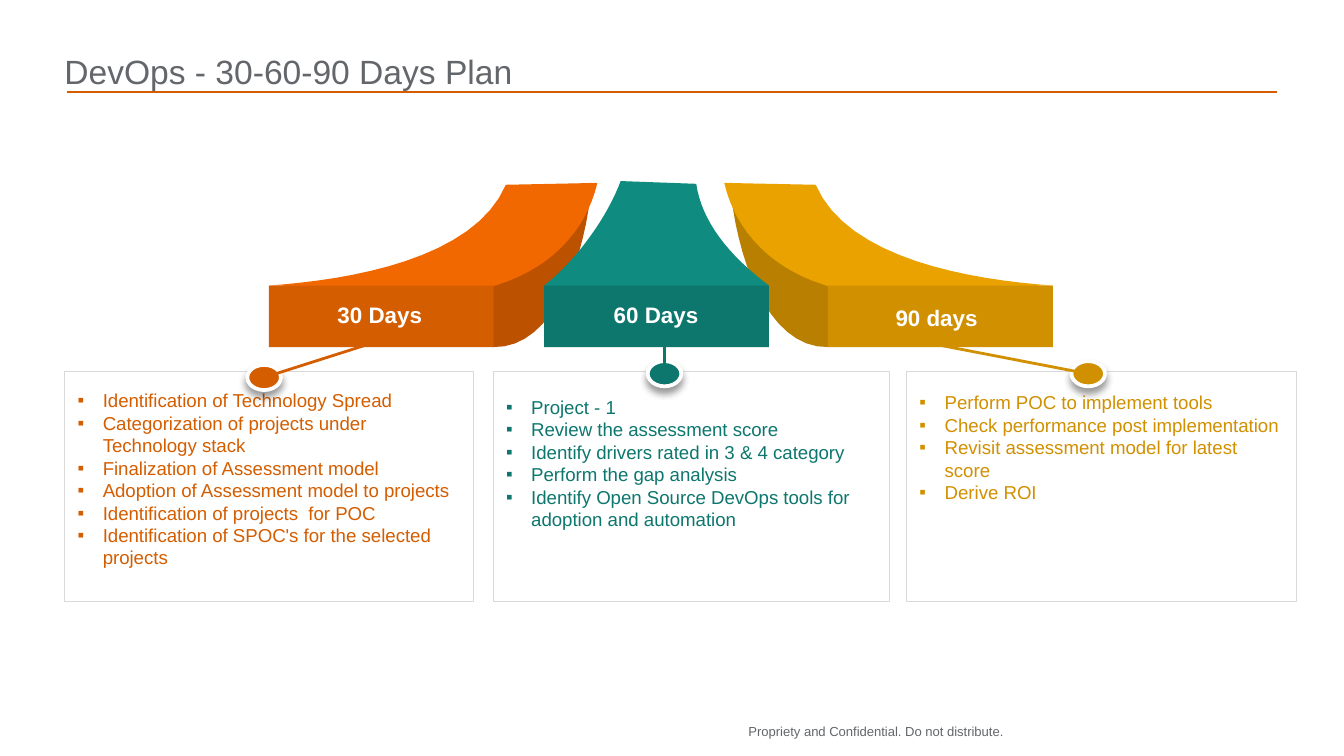
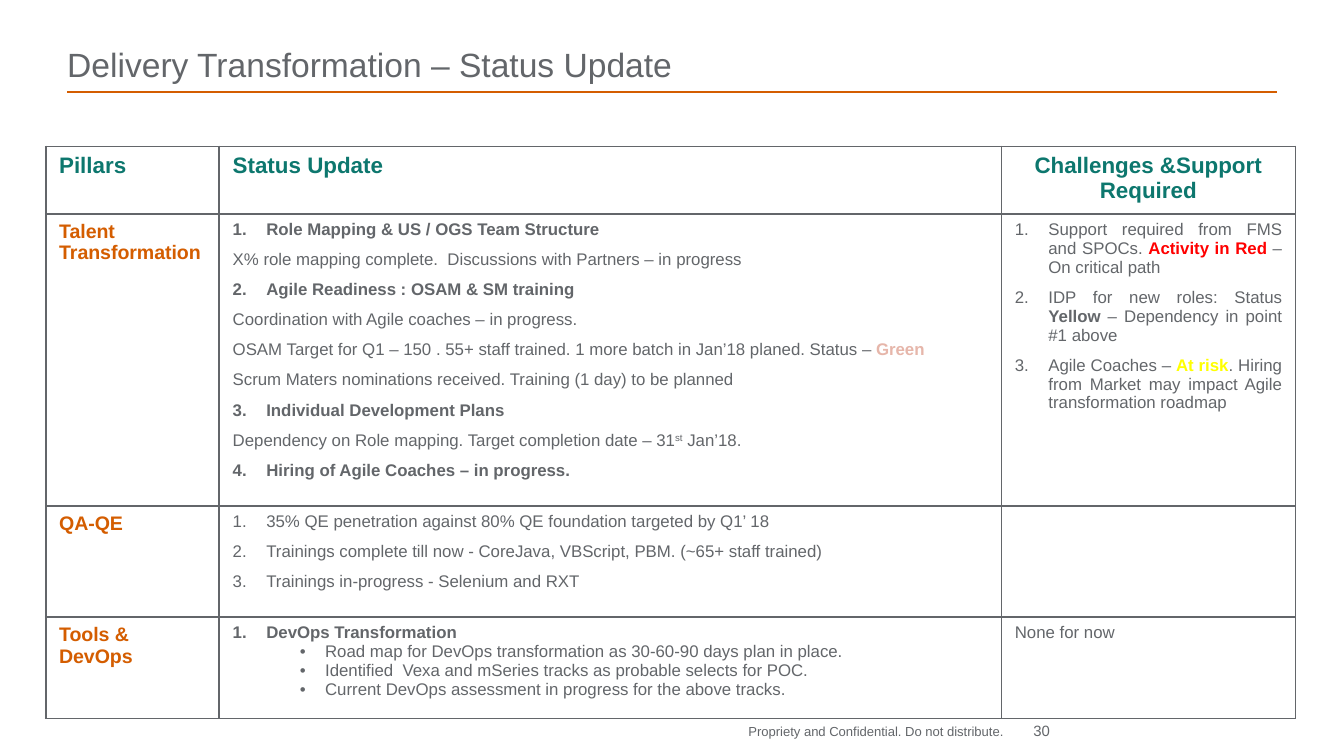
from lxml import etree
from pptx import Presentation
from pptx import util as u
from pptx.dml.color import RGBColor
from pptx.enum import shapes, text
from pptx.oxml.ns import qn

Pt = u.Pt
GREY = RGBColor(0x63, 0x66, 0x6A)
PALE = RGBColor(0xD9, 0xD9, 0xD9)
WHITE = RGBColor(0xFF, 0xFF, 0xFF)
RED = RGBColor(0xFF, 0x00, 0x00)
YELLOW = RGBColor(0xFF, 0xFF, 0x00)
PINK = RGBColor(0xE6, 0xB6, 0xAA)
RUST = RGBColor(0xD4, 0x5D, 0x00)
ORANGE = RGBColor(0xF2, 0x68, 0x00)
BROWN = RGBColor(0xBC, 0x51, 0x00)
TEAL = RGBColor(0x0D, 0x77, 0x6E)
GREEN = RGBColor(0x0F, 0x8B, 0x7F)
GOLD = RGBColor(0xD1, 0x90, 0x00)
AMBER = RGBColor(0xEA, 0xA2, 0x00)
BRONZE = RGBColor(0xB8, 0x7F, 0x00)

LEFT, MID, RIGHT, JUST = (text.PP_ALIGN.LEFT, text.PP_ALIGN.CENTER,
                          text.PP_ALIGN.RIGHT, text.PP_ALIGN.JUSTIFY)
BARE = dict(margin_left=0, margin_top=0, margin_right=0, margin_bottom=0)


def put(item, vals):
    """Set each attribute of item from a dict."""
    for name, val in vals.items():
        setattr(item, name, val)


def node(parent, tag, **attrs):
    """Append an XML child with attributes."""
    child = etree.SubElement(parent, qn(tag))
    for name, val in attrs.items():
        child.set(name, str(val))
    return child


def mark(para, sign, indent, hang):
    """Give a paragraph a bullet, or a number that starts at sign."""
    props = para._p.get_or_add_pPr()
    props.set("marL", str(Pt(indent)))
    props.set("indent", str(-Pt(hang)))
    if isinstance(sign, int):
        node(props, "a:buAutoNum", type="arabicPeriod", startAt=sign)
    else:
        node(props, "a:buFont", typeface="Arial")
        node(props, "a:buChar", char=sign)


def write(para, runs, size, color, bold=False, align=LEFT):
    """Write runs, each a string or a string with its own format."""
    para.alignment = align
    for part in [runs] if isinstance(runs, str) else runs:
        words, own = (part, {}) if isinstance(part, str) else part
        run = para.add_run()
        run.text = words
        put(run.font, dict(name="Arial", size=Pt(size), bold=own.get("bold", bold)))
        run.font.color.rgb = own.get("color", color)
        if "raise" in own:
            run._r.get_or_add_rPr().set("baseline", own["raise"])


def lines(frame, count):
    """Return count paragraphs of a frame."""
    return [frame.paragraphs[0]] + [frame.add_paragraph() for _ in range(count - 1)]


def label(slide, box, words, size, color, bold=False, align=LEFT, **form):
    """Add a one-line text box."""
    frame = slide.shapes.add_textbox(*map(Pt, box)).text_frame
    put(frame, dict(word_wrap=True) | form)
    write(frame.paragraphs[0], words, size, color, bold, align)


def paint(shape, fill, edge=None, width=0):
    """Set the fill and line of a shape without shadow."""
    shape.shadow.inherit = False
    shape.fill.solid()
    shape.fill.fore_color.rgb = fill
    if edge is None:
        shape.line.fill.background()
    else:
        shape.line.color.rgb = edge
        shape.line.width = Pt(width)


def link(slide, start, end, color, width):
    """Draw a straight line."""
    line = slide.shapes.add_connector(
        shapes.MSO_CONNECTOR.STRAIGHT, *map(Pt, (*start, *end)))
    line.line.color.rgb = color
    line.line.width = Pt(width)
    node(line._element.spPr, "a:effectLst")


def base(deck, name, box):
    """Add a slide with title, rule and footer."""
    slide = deck.slides.add_slide(deck.slide_layouts[5])
    title = slide.shapes.title
    put(title, dict(zip(("left", "top", "width", "height"), map(Pt, box))))
    put(title.text_frame, BARE | dict(
        word_wrap=True, auto_size=text.MSO_AUTO_SIZE.NONE,
        vertical_anchor=text.MSO_ANCHOR.BOTTOM))
    write(title.text_frame.paragraphs[0], name, 18, GREY)
    link(slide, (36, 49.5), (684, 49.5), RUST, 1)
    label(slide, (401, 387.5, 150, 13.5), "Propriety and Confidential. Do not distribute.",
          7, GREY, **BARE | dict(word_wrap=False))
    return slide


def curve(ends, steps=16):
    """Sample a cubic curve from four control points."""
    spots = []
    for i in range(steps + 1):
        t = i / steps
        rates = ((1 - t) ** 3, 3 * t * (1 - t) ** 2, 3 * t * t * (1 - t), t ** 3)
        spots.append([sum(r * p[k] for r, p in zip(rates, ends)) for k in (0, 1)])
    return spots


def blob(slide, x, y, spots, fill):
    """Draw a closed outline, offset by x and y."""
    dots = [((x + a) * 100, (y + b) * 100) for a, b in spots]
    pen = slide.shapes.build_freeform(*dots[0], scale=Pt(1) / 100)
    pen.add_line_segments(dots[1:], close=True)
    paint(pen.convert_to_shape(), fill)


def arch(slide, x, y, width):
    """Draw three curved ramps, each with a front bar."""
    side = (curve([(173, 1), (170, 38), (154, 90), (120, 89)])
            + curve([(120, 89), (90, 68), (140, 18), (166, 1.5)]))
    ramp = (curve([(0, 56), (43, 53), (110, 42), (127, 2)])
            + curve([(176, 1), (170, 27), (150, 49), (116, 57.5)]))
    core = (curve([(147.5, 56), (165.5, 42), (182, 18), (188.5, 0)])
            + curve([(229, 1.5), (232, 21.5), (246, 39.5), (268, 56)]) + [(236, 60)])
    for spots, near, far in ((side, BROWN, BRONZE), (ramp, ORANGE, AMBER)):
        blob(slide, x, y, spots, near)
        blob(slide, x, y, [(width - a, b) for a, b in spots], far)
    blob(slide, x, y, core, GREEN)
    for left, color in ((width - 120.5, GOLD), (0, RUST), (147.5, TEAL)):
        bar = slide.shapes.add_shape(
            shapes.MSO_SHAPE.RECTANGLE, *map(Pt, (x + left, y + 56, 120.5, 33)))
        paint(bar, color)
    for left, top, wide, words in ((0, 61, 119, "30 Days"), (144, 61, 127, "60 Days"),
                                   (289, 62.5, 137.5, "90 days")):
        label(slide, (x + left, y + top, wide, 28), words, 12, WHITE, True, MID)


def card(slide, box, color, drop, dot, tip, items):
    """Draw a bullet card with a pin joined to its bar."""
    x, y, width, high = box
    panel = slide.shapes.add_shape(shapes.MSO_SHAPE.RECTANGLE, *map(Pt, box))
    paint(panel, WHITE, PALE, 0.25)
    frame = slide.shapes.add_textbox(*map(Pt, (x, y + drop, width, high - drop))).text_frame
    frame.word_wrap = True
    for para, words in zip(lines(frame, len(items)), items):
        mark(para, "▪", 13.5, 13.5)
        write(para, words, 10, color)
    left, top = x + dot[0], y + dot[1]
    pin = slide.shapes.add_shape(shapes.MSO_SHAPE.OVAL, *map(Pt, (left, top, 18, 13.5)))
    paint(pin, color, WHITE, 2)
    glow = node(pin._element.spPr.find(qn("a:effectLst")), "a:outerShdw",
                blurRad=Pt(4), dist=Pt(3), dir=5400000, rotWithShape=0)
    node(node(glow, "a:srgbClr", val="000000"), "a:alpha", val=40000)
    link(slide, (left + 9, top + 6.75), (x + tip, y - 20.5), color, 1.5)


def plan(deck):
    """Build the plan slide."""
    slide = base(deck, "DevOps - 30-60-90 Days Plan", (34.5, 23, 648, 26))
    arch(slide, 144, 97, 420)
    cards = (
        (34.5, 219, RUST, 6, (98, -3.5), 181.5, (
            "Identification of Technology Spread",
            "Categorization of projects under Technology stack",
            "Finalization of Assessment model",
            "Adoption of Assessment model to projects",
            "Identification of projects  for POC",
            "Identification of SPOC's for the selected projects")),
        (264, 212.5, TEAL, 9.5, (83, -5.5), 92, (
            "Project - 1", "Review the assessment score",
            "Identify drivers rated in 3 & 4 category", "Perform the gap analysis",
            "Identify Open Source DevOps tools for adoption and automation")),
        (485.5, 209, GOLD, 7, (88.5, -5.5), -15.5, (
            "Perform POC to implement tools", "Check performance post implementation",
            "Revisit assessment model for latest score", "Derive ROI")))
    for x, width, *rest in cards:
        card(slide, (x, 199, width, 123), *rest)


def cell(box, items, size, color, bold=False, align=LEFT, gap=0):
    """Fill a table cell; each item is runs, or a sign and runs."""
    props = box._tc.get_or_add_tcPr()
    for tag in ("a:lnL", "a:lnR", "a:lnT", "a:lnB"):
        edge = node(props, tag, w=Pt(1))
        node(node(edge, "a:solidFill"), "a:srgbClr", val=GREY)
    box.fill.solid()
    box.fill.fore_color.rgb = WHITE
    for i, (para, item) in enumerate(zip(lines(box.text_frame, len(items)), items)):
        sign, runs, thick = item if isinstance(item, tuple) else (None, item, bold)
        if i and gap:
            para.space_before = Pt(gap)
        if sign == "•":
            para.level = 1
            mark(para, sign, 49.5, 13.5)
        elif sign:
            mark(para, sign, 18, 18)
        write(para, runs, size, color, thick, align)


def grid(slide, x, y, cols, rows, body):
    """Draw the status table."""
    table = slide.shapes.add_table(
        len(rows), len(cols), *map(Pt, (x, y, sum(cols), sum(rows)))).table
    put(table, dict(first_row=False, horz_banding=False))
    for col, width in zip(table.columns, cols):
        col.width = Pt(width)
    for row, high in zip(table.rows, rows):
        row.height = Pt(high)
    heads = ("Pillars", LEFT), ("Status Update", JUST), ("Challenges &Support Required", MID)
    for i, (words, align) in enumerate(heads):
        cell(table.cell(0, i), [words], 12, TEAL, True, align)
    for i, (name, news, asks, align, gap) in enumerate(body, 1):
        cell(table.cell(i, 0), [name], 10.5, RUST, True)
        for j, items in enumerate((news, asks), 1):
            cell(table.cell(i, j), items, 9, GREY, False, align, gap)


def status(deck):
    """Build the status slide."""
    slide = base(deck, "Delivery Transformation – Status Update", (36, 9, 648, 36))
    label(slide, (538.5, 386.5, 24, 9), "30", 8, GREY, align=RIGHT, **BARE)
    talent = [
        (1, "Role Mapping & US / OGS Team Structure", True),
        "X% role mapping complete.  Discussions with Partners – in progress",
        (2, "Agile Readiness : OSAM & SM training", True),
        "Coordination with Agile coaches – in progress.",
        ["OSAM Target for Q1 – 150 . 55+ staff trained. 1 more batch in Jan’18 planed. Status – ",
         ("Green", dict(color=PINK, bold=True))],
        "Scrum Maters nominations received. Training (1 day) to be planned",
        (3, "Individual Development Plans", True),
        ["Dependency on Role mapping. Target completion date – 31",
         ("st", {"raise": "30000"}), " Jan’18."],
        (4, "Hiring of Agile Coaches – in progress.", True)]
    needs = [
        (1, ["Support required from FMS and SPOCs. ",
             ("Activity in Red ", dict(color=RED, bold=True)), "– On critical path"], False),
        (1, ["IDP for new roles: Status ", ("Yellow", dict(bold=True)),
             " – Dependency in point #1 above"], False),
        (1, ["Agile Coaches – ", ("At risk", dict(color=YELLOW, bold=True)),
             ". Hiring from Market may impact Agile transformation roadmap"], False)]
    tests = [(1, words, False) for words in (
        "35% QE penetration against 80% QE foundation targeted by Q1’ 18",
        "Trainings complete till now - CoreJava, VBScript, PBM. (~65+ staff trained)",
        "Trainings in-progress - Selenium and RXT")]
    tools = [(1, "DevOps Transformation", True)] + [("•", words, False) for words in (
        "Road map for DevOps transformation as 30-60-90 days plan in place.",
        "Identified  Vexa and mSeries tracks as probable selects for POC.",
        "Current DevOps assessment in progress for the above tracks.")]
    grid(slide, 24.5, 78.5, (93, 419, 157.5), (34, 156.5, 59.5, 54.5), (
        ("Talent Transformation", talent, needs, JUST, 6),
        ("QA-QE", tests, [], JUST, 6),
        ("Tools & DevOps", tools, ["None for now"], LEFT, 0)))


def main():
    """Build and save the deck."""
    deck = Presentation()
    put(deck, dict(slide_width=Pt(720), slide_height=Pt(405)))
    plan(deck)
    status(deck)
    deck.save("out.pptx")


if __name__ == "__main__":
    main()
